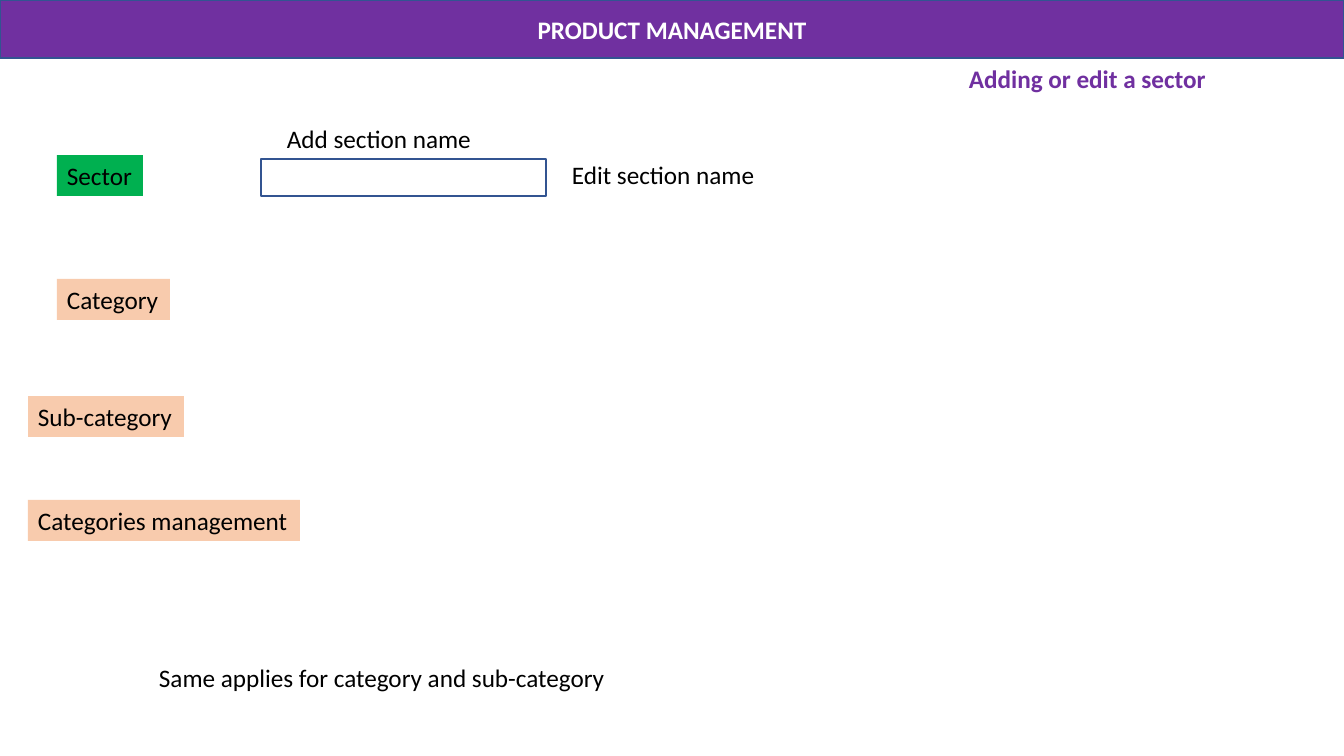
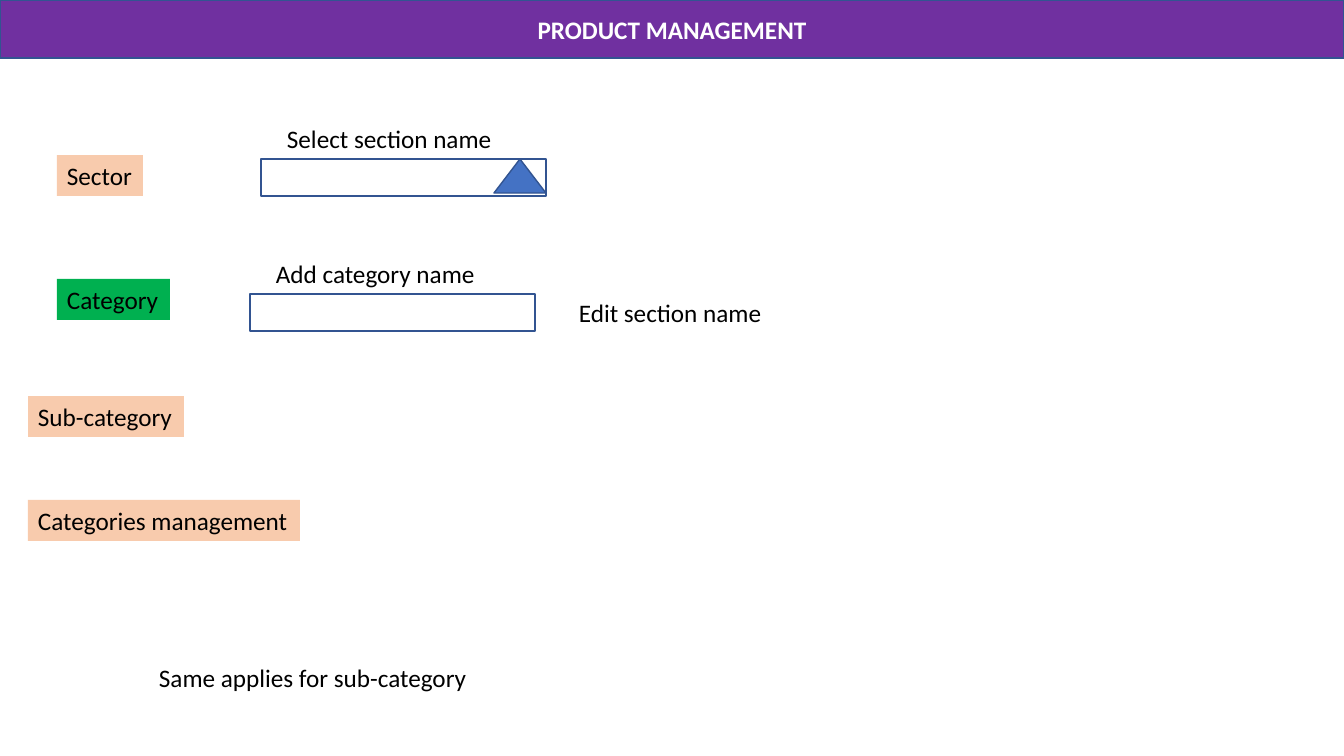
from pptx import Presentation
from pptx.dml.color import RGBColor
from pptx.enum.shapes import MSO_SHAPE
from pptx.enum.text import MSO_ANCHOR, MSO_AUTO_SIZE, PP_ALIGN
from pptx.util import Pt

SLIDE_W, SLIDE_H = 1344, 756
EMU_PER_PX = 12192000 / SLIDE_W

PURPLE, GREEN, PEACH, BLUE = "7030A0", "00B050", "F8CBAD", "4472C4"
OUTLINE, BLACK, WHITE = "325491", "000000", "FFFFFF"
FONT, FONT_SIZE = "Calibri", 18
LABEL_H = 41
FIELD_W, FIELD_H = 285, 37

# name: left, top, width
MENU = {
    "Sector": (57, 155, 86),
    "Category": (57, 279, 113),
    "Sub-category": (28, 396, 156),
    "Categories management": (28, 500, 272),
}


def px(length):
    return round(length * EMU_PER_PX)


def rgb(color):
    return RGBColor.from_string(color)


def write(shape, text, color=BLACK, bold=False, align=PP_ALIGN.LEFT,
          anchor=MSO_ANCHOR.TOP, grow=True):
    """Put one styled line of text in a shape; grow fits the shape to it."""
    frame = shape.text_frame
    frame.word_wrap = not grow
    frame.auto_size = MSO_AUTO_SIZE.SHAPE_TO_FIT_TEXT if grow else MSO_AUTO_SIZE.NONE
    frame.vertical_anchor = anchor
    paragraph = frame.paragraphs[0]
    paragraph.alignment = align
    run = paragraph.add_run()
    run.text = text
    font = run.font
    font.name, font.size, font.bold = FONT, Pt(FONT_SIZE), bold
    font.color.rgb = rgb(color)


class Wireframe:
    def __init__(self):
        self.deck = Presentation()
        self.deck.slide_width, self.deck.slide_height = px(SLIDE_W), px(SLIDE_H)
        self.slide = None

    def screen(self, active, note, note_width):
        """Start a slide with the title band, the menu and the bottom note."""
        self.slide = self.deck.slides.add_slide(self.deck.slide_layouts[6])
        self.band("PRODUCT MANAGEMENT")
        for name, (left, top, width) in MENU.items():
            button = self.shape(left, top, width, LABEL_H,
                                fill=GREEN if name == active else PEACH)
            write(button, name)
        self.label(note, 149, 657, note_width)

    def shape(self, left, top, width, height, preset=MSO_SHAPE.RECTANGLE,
              fill=None, line=None):
        shape = self.slide.shapes.add_shape(
            preset, px(left), px(top), px(width), px(height))
        shape.shadow.inherit = False
        if fill:
            shape.fill.solid()
            shape.fill.fore_color.rgb = rgb(fill)
        else:
            shape.fill.background()
        if line:
            shape.line.color.rgb = rgb(line)
            shape.line.width = Pt(1)
        else:
            shape.line.fill.background()
        return shape

    def band(self, title):
        band = self.shape(0, 0, SLIDE_W, 58, fill=PURPLE, line=OUTLINE)
        write(band, title, color=WHITE, bold=True, align=PP_ALIGN.CENTER,
              anchor=MSO_ANCHOR.MIDDLE, grow=False)

    def label(self, text, left, top, width, **style):
        box = self.slide.shapes.add_textbox(px(left), px(top), px(width), px(LABEL_H))
        write(box, text, **style)

    def field(self, caption, left, top, caption_width):
        """Draw an empty input box with its caption above."""
        self.label(caption, left + 16, top - LABEL_H, caption_width)
        self.shape(left, top, FIELD_W, FIELD_H, line=OUTLINE)

    def dropdown(self, caption, left, top, caption_width):
        self.field(caption, left, top, caption_width)
        arrow_w = 52
        self.shape(left + FIELD_W - arrow_w, top, arrow_w, 34,
                   preset=MSO_SHAPE.ISOSCELES_TRIANGLE, fill=BLUE, line=OUTLINE)


def main():
    wireframe = Wireframe()

    wireframe.screen("Sector", "Same applies for category and sub-category", 471)
    wireframe.field("Add section name", 261, 159, 207)
    wireframe.label("Edit section name", 562, 154, 205)
    wireframe.label("Adding or edit a sector", 959, 58, 259, color=PURPLE, bold=True)

    wireframe.screen("Category", "Same applies for sub-category", 332)
    wireframe.dropdown("Select section name", 261, 159, 228)
    wireframe.field("Add category name", 250, 294, 222)
    wireframe.label("Edit section name", 569, 292, 205)

    wireframe.deck.save("out.pptx")


if __name__ == "__main__":
    main()
